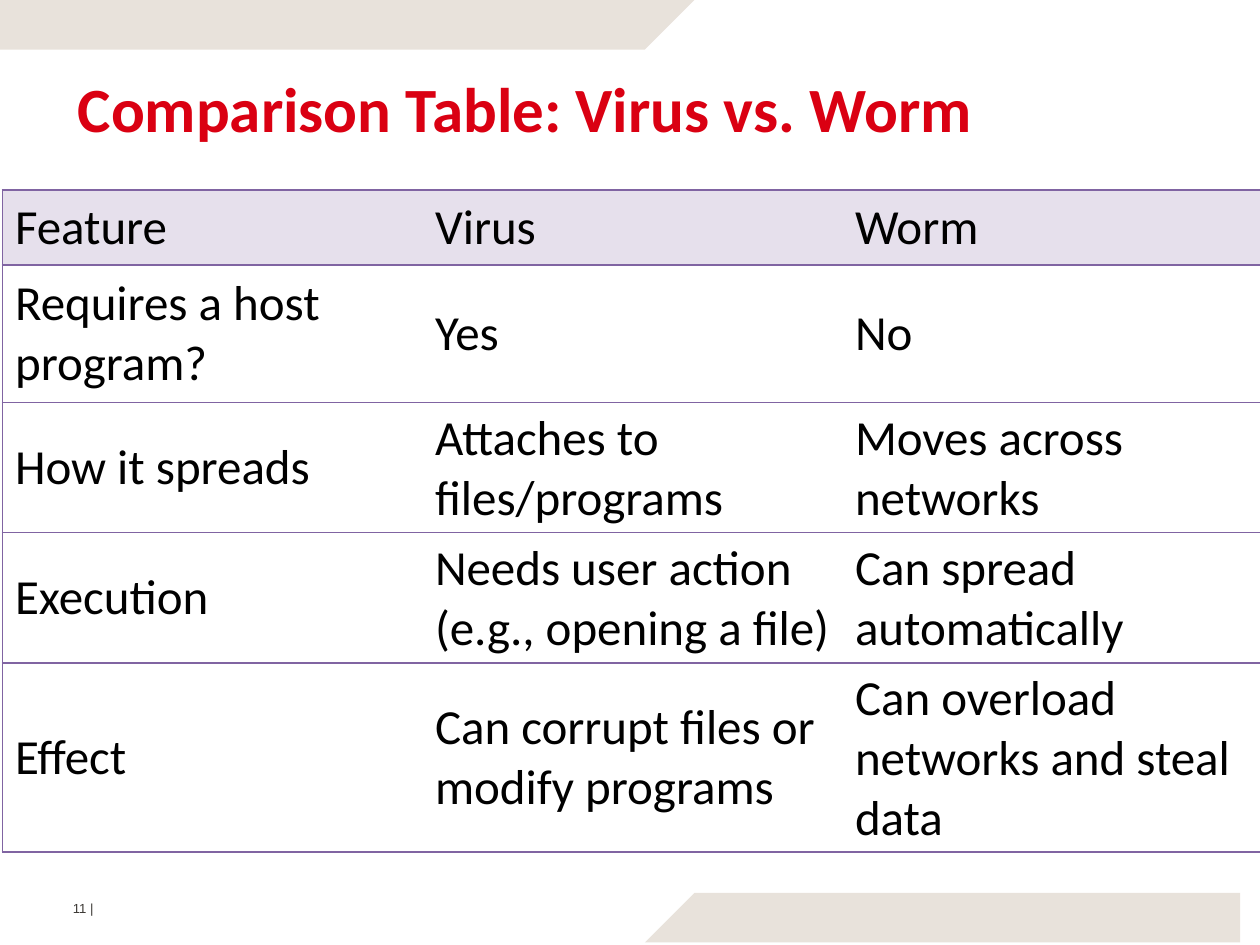
from lxml import etree
from pptx import Presentation
from pptx.dml.color import RGBColor
from pptx.enum.text import MSO_ANCHOR
from pptx.oxml.ns import qn
from pptx.util import Cm, Pt

MIDDLE = MSO_ANCHOR.MIDDLE
COLORS = {
    "band": "E8E2DB",
    "title": "DA0012",
    "footer": "3C3935",
    "text": "000000",
    "header": "E6E0EC",
    "body": "FFFFFF",
    "border": "8064A2",
}
WIDTH, HEIGHT = 25.4, 19.05

TITLE = "Comparison Table: Virus vs. Worm"
PAGE_NUMBER = ["11 ", "|"]
ROWS = [
    ("Feature", "Virus", "Worm"),
    ("Requires a host program?", "Yes", "No"),
    ("How it spreads", "Attaches to files/programs", "Moves across networks"),
    ("Execution", "Needs user action (e.g., opening a file)", "Can spread automatically"),
    ("Effect", "Can corrupt files or modify programs", "Can overload networks and steal data"),
]
ROW_HEIGHTS = [1.51, 2.77, 2.62, 2.62, 3.81]
BANDS = [
    [(0, 0), (13.69, 0), (12.7, 1.36), (0, 1.36)],
    [(13.69, 17.75), (WIDTH, 17.75), (WIDTH, HEIGHT), (12.73, HEIGHT)],
]


def color(name):
    return RGBColor.from_string(COLORS[name])


def style(span, font, size, color_name, bold=False):
    span.font.name = font
    span.font.size = Pt(size)
    span.font.bold = bold
    span.font.color.rgb = color(color_name)


def add_band(page, points):
    builder = page.shapes.build_freeform(*points[0], scale=Cm(1))
    builder.add_line_segments(points[1:], close=True)
    band = builder.convert_to_shape()
    band.shadow.inherit = False
    band.fill.solid()
    band.fill.fore_color.rgb = color("band")
    band.line.fill.background()


def add_text(page, left, top, width, height, inset_top, parts):
    box = page.shapes.add_textbox(Cm(left), Cm(top), Cm(width), Cm(height))
    frame = box.text_frame
    frame.word_wrap = True
    frame.margin_left = frame.margin_right = frame.margin_bottom = 0
    frame.margin_top = Cm(inset_top)
    para = frame.paragraphs[0]
    for part in parts:
        para.add_run().text = part
    return para.runs


def set_borders(cell, visible):
    properties = cell._tc.get_or_add_tcPr()
    for index, side in enumerate("LRTB"):
        line = etree.Element(qn(f"a:ln{side}"), w=str(Pt(1)))
        if side in visible:
            fill = etree.SubElement(line, qn("a:solidFill"))
            etree.SubElement(fill, qn("a:srgbClr"), val=COLORS["border"])
        else:
            etree.SubElement(line, qn("a:noFill"))
        properties.insert(index, line)


def add_comparison(page):
    last = len(ROWS[0]) - 1
    frame = page.shapes.add_table(
        len(ROWS), last + 1, Cm(0.05), Cm(3.83), Cm(WIDTH), Cm(sum(ROW_HEIGHTS)))
    table = frame.table
    for column in table.columns:
        column.width = Cm(WIDTH / (last + 1))
    for row_index, (texts, height) in enumerate(zip(ROWS, ROW_HEIGHTS)):
        table.rows[row_index].height = Cm(height)
        for column_index, text in enumerate(texts):
            cell = table.cell(row_index, column_index)
            cell.text_frame.text = text
            cell.vertical_anchor = MIDDLE
            style(cell.text_frame.paragraphs[0].runs[0], "Calibri", 28, "text")
            cell.fill.solid()
            cell.fill.fore_color.rgb = color("body" if row_index else "header")
            set_borders(cell, "TB" + {0: "L", last: "R"}.get(column_index, ""))


def main():
    deck = Presentation()
    deck.slide_width, deck.slide_height = Cm(WIDTH), Cm(HEIGHT)
    page = deck.slides.add_slide(deck.slide_layouts[6])
    for points in BANDS:
        add_band(page, points)
    for span in add_text(page, 1.57, 1.14, 20.66, 1.78, 0.26, [TITLE]):
        style(span, "Calibri", 36, "title", bold=True)
    for span in add_text(page, 1.47, 18.16, 0.8, 0.38, 0, PAGE_NUMBER):
        style(span, "Arial", 7.5, "footer")
    add_comparison(page)
    deck.save("out.pptx")


if __name__ == "__main__":
    main()
